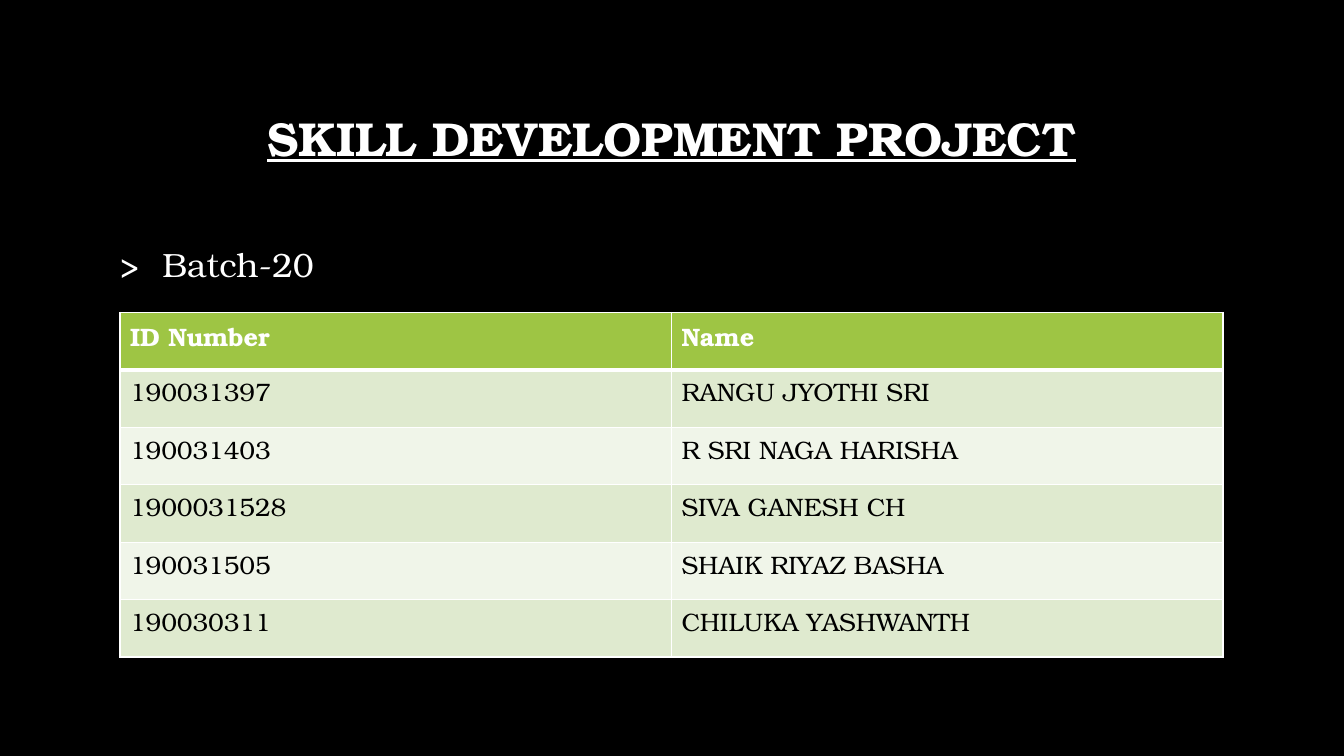
from dataclasses import dataclass

from lxml.etree import SubElement
from pptx import Presentation
from pptx.dml.color import RGBColor
from pptx.enum.text import MSO_ANCHOR, MSO_AUTO_SIZE, PP_ALIGN
from pptx.oxml.ns import qn
from pptx.util import Inches, Pt


@dataclass(frozen=True)
class Theme:
    font: str = "TeX Gyre Bonum"
    background: str = "000000"
    light: str = "FFFFFF"
    dark: str = "000000"
    header: str = "9EC544"
    bands: tuple = ("DFEACF", "F0F5E9")
    title_size: int = 34
    body_size: int = 24
    table_size: int = 18
    border: int = 1
    header_border: int = 3


class SlideBuilder:
    def __init__(self, deck, theme):
        self.theme = theme
        self.page = deck.slides.add_slide(deck.slide_layouts[1])
        self.fill(self.page.background, theme.background)

    def fill(self, target, color):
        target.fill.solid()
        target.fill.fore_color.rgb = RGBColor.from_string(color)

    def span(self, para, text, size, color, bold=False, underline=False):
        span = para.add_run()
        span.text = text
        font = span.font
        font.name = self.theme.font
        font.size = Pt(size)
        font.color.rgb = RGBColor.from_string(color)
        font.bold = bold
        font.underline = underline

    def place(self, box, left, top, width, height, anchor):
        box.left, box.top = Inches(left), Inches(top)
        box.width, box.height = Inches(width), Inches(height)
        frame = box.text_frame
        frame.word_wrap = True
        frame.auto_size = MSO_AUTO_SIZE.NONE
        frame.vertical_anchor = anchor
        return frame.paragraphs[0]

    def title(self, text, *area):
        para = self.place(self.page.shapes.title, *area, MSO_ANCHOR.MIDDLE)
        para.alignment = PP_ALIGN.CENTER
        para.line_spacing = 0.9
        self.span(para, text, self.theme.title_size, self.theme.light, True, True)

    def body(self, marker, text, *area):
        para = self.place(self.page.placeholders[1], *area, MSO_ANCHOR.TOP)
        para.alignment = PP_ALIGN.LEFT
        para.line_spacing = 1.2
        para.space_before = Pt(10)
        properties = para._p.get_or_add_pPr()
        properties.set("marL", str(Inches(0.51)))
        properties.set("indent", str(Inches(-0.42)))
        SubElement(properties, qn("a:buNone"))
        self.span(para, f"{marker}\t{text}", self.theme.body_size, self.theme.light)

    def borders(self, cell, above, below):
        properties = cell._tc.get_or_add_tcPr()
        widths = {"L": self.theme.border, "R": self.theme.border, "T": above, "B": below}
        for index, (side, width) in enumerate(widths.items()):
            line = SubElement(properties, qn(f"a:ln{side}"), w=str(Pt(width)))
            paint = SubElement(line, qn("a:solidFill"))
            SubElement(paint, qn("a:srgbClr"), val=self.theme.light)
            properties.insert(index, line)

    def table(self, rows, left, top, width, row_height):
        theme = self.theme
        columns = len(rows[0])
        table = self.page.shapes.add_table(
            len(rows), columns, Inches(left), Inches(top),
            Inches(width), Inches(row_height * len(rows))).table
        for row_index, row in enumerate(rows):
            is_header = row_index == 0
            table.rows[row_index].height = Inches(row_height)
            fill = theme.header if is_header else theme.bands[(row_index - 1) % 2]
            color = theme.light if is_header else theme.dark
            above = theme.header_border if row_index == 1 else theme.border
            below = theme.header_border if is_header else theme.border
            for column_index, text in enumerate(row):
                cell = table.cell(row_index, column_index)
                self.fill(cell, fill)
                self.borders(cell, above, below)
                para = cell.text_frame.paragraphs[0]
                self.span(para, text, theme.table_size, color, is_header)


def main():
    deck = Presentation()
    deck.slide_width, deck.slide_height = Inches(13.33), Inches(7.5)
    slide = SlideBuilder(deck, Theme())
    slide.title("SKILL DEVELOPMENT PROJECT", 1, 0.67, 11.32, 1.45)
    slide.body(">", "Batch-20", 1, 2.29, 11.32, 4.04)
    members = [
        ("ID Number", "Name"),
        ("190031397", "RANGU JYOTHI SRI"),
        ("190031403", "R SRI NAGA HARISHA"),
        ("1900031528", "SIVA GANESH CH"),
        ("190031505", "SHAIK RIYAZ BASHA"),
        ("190030311", "CHILUKA YASHWANTH"),
    ]
    slide.table(members, 1.19, 3.1, 10.94, 0.57)
    deck.save("out.pptx")


if __name__ == "__main__":
    main()
